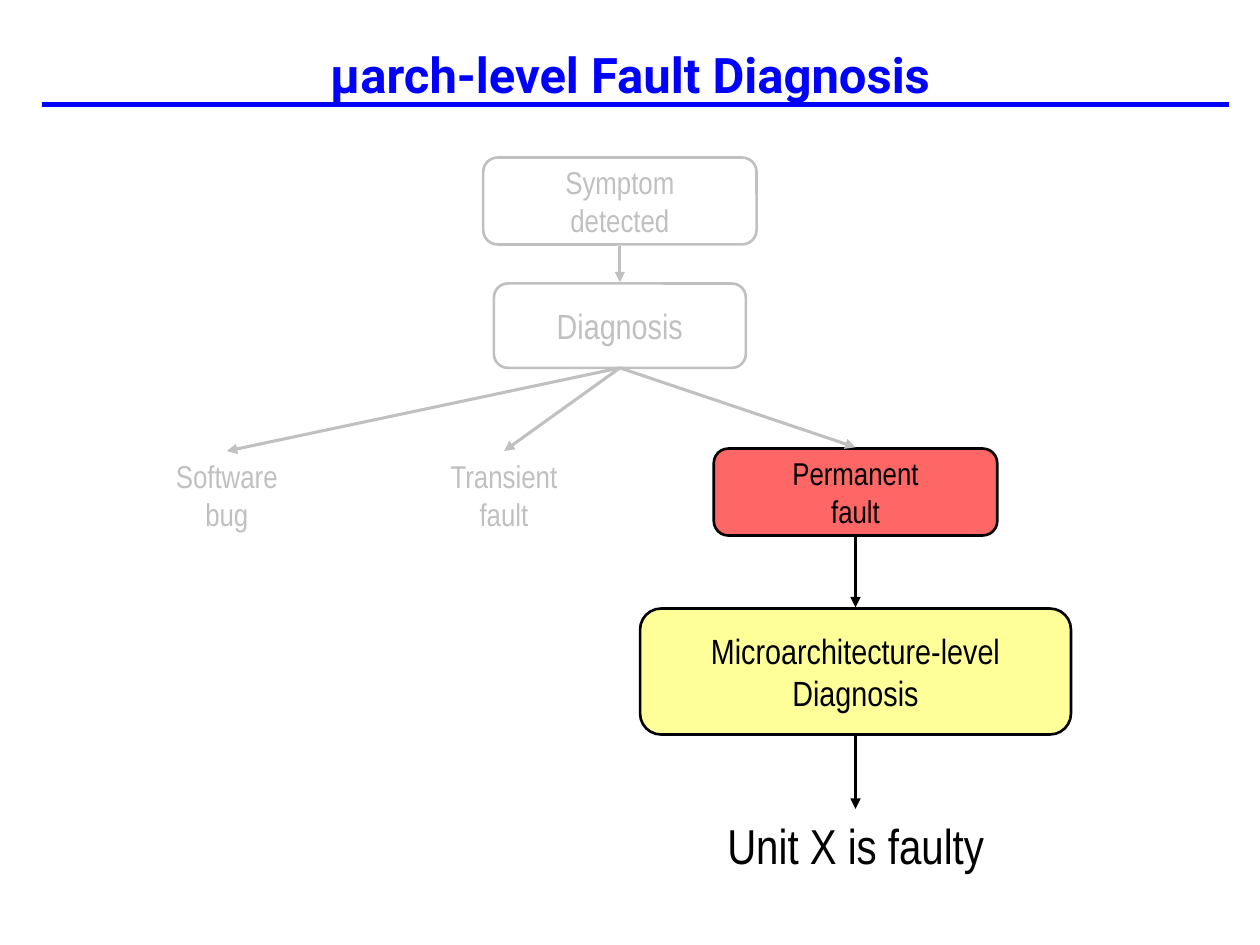
"""Build the µarch-level fault diagnosis flow slide."""
from dataclasses import dataclass
from typing import Optional

from pptx import Presentation
from pptx.dml.color import RGBColor
from pptx.enum.shapes import MSO_CONNECTOR as Connector, MSO_SHAPE as Preset
from pptx.enum.text import MSO_ANCHOR as Anchor, PP_ALIGN as Align
from pptx.oxml.ns import qn
from pptx.util import Inches, Pt
from lxml.etree import SubElement

COLORS = {"blue": "0000FF", "red": "FF6666", "yellow": "FFFF99",
          "black": "000000", "gray": "C0C0C0"}
BODY_FONT = "Arial Narrow"


@dataclass
class Label:
    left: float
    top: float
    width: float
    height: float
    lines: list[str]
    size: int
    color: str
    font: str = BODY_FONT
    bold: bool = False
    wrap: bool = False
    anchor: Anchor = Anchor.TOP


@dataclass
class Node:
    center: float
    top: float
    width: float
    height: float
    lines: list[str]
    size: int
    color: str
    fill: Optional[str] = None


@dataclass
class Line:
    start: tuple[float, float]
    end: tuple[float, float]
    color: str
    weight: float = 1.75
    arrow: bool = True


TRUNK, BRANCH = 4.92, 6.79
FORK = (TRUNK, 2.92)

LABELS = [
    Label(0, 0.17, 10, 0.83, ["µarch-level Fault Diagnosis"], 28, "blue",
          "Roboto", True, True, Anchor.MIDDLE),
    Label(5.25, 6.42, 3.08, 0.57, ["Unit X is faulty"], 28, "black", wrap=True),
    Label(1.29, 3.58, 1.02, 0.71, ["Software", "bug"], 18, "gray"),
    Label(3.47, 3.58, 1.06, 0.71, ["Transient", "fault"], 18, "gray"),
]
NODES = [
    Node(TRUNK, 1.25, 2.17, 0.69, ["Symptom", "detected"], 18, "gray"),
    Node(TRUNK, 2.25, 2, 0.67, ["Diagnosis"], 20, "gray"),
    Node(BRANCH, 3.56, 2.25, 0.69, ["Permanent", "fault"], 18, "black", "red"),
    Node(BRANCH, 4.83, 3.42, 1, ["Microarchitecture-level", "Diagnosis"], 20,
         "black", "yellow"),
]
LINES = [
    Line((0.33, 0.83), (9.75, 0.83), "blue", 3, False),
    Line((TRUNK, 1.95), (TRUNK, 2.24), "gray"),
    Line(FORK, (1.8, 3.58), "gray"),
    Line(FORK, (4, 3.58), "gray"),
    Line(FORK, (BRANCH, 3.55), "gray"),
    Line((BRANCH, 4.26), (BRANCH, 4.82), "black"),
    Line((BRANCH, 5.84), (BRANCH, 6.42), "black"),
]


def rgb(name: str) -> RGBColor:
    """Return the named colour."""
    return RGBColor.from_string(COLORS[name])


def write_lines(frame, lines: list[str], size: int, color: str,
                font: str = BODY_FONT, bold: bool = False) -> None:
    """Fill a text frame with centred paragraphs."""
    frame.text = "\n".join(lines)
    for para in frame.paragraphs:
        para.alignment = Align.CENTER
        para.font.name = font
        para.font.size = Pt(size)
        para.font.bold = bold
        para.font.color.rgb = rgb(color)


def draw_label(page, label: Label) -> None:
    """Draw a plain text box."""
    box = page.shapes.add_textbox(Inches(label.left), Inches(label.top),
                                  Inches(label.width), Inches(label.height))
    frame = box.text_frame
    frame.word_wrap = label.wrap
    frame.vertical_anchor = label.anchor
    write_lines(frame, label.lines, label.size, label.color, label.font, label.bold)


def draw_node(page, node: Node) -> None:
    """Draw a rounded box with its text."""
    box = page.shapes.add_shape(
        Preset.ROUNDED_RECTANGLE, Inches(node.center - node.width / 2),
        Inches(node.top), Inches(node.width), Inches(node.height))
    box.shadow.inherit = False
    if node.fill:
        box.fill.solid()
        box.fill.fore_color.rgb = rgb(node.fill)
    else:
        box.fill.background()
    box.line.color.rgb = rgb(node.color)
    box.line.width = Pt(1.5)
    box.text_frame.word_wrap = False
    box.text_frame.vertical_anchor = Anchor.MIDDLE
    write_lines(box.text_frame, node.lines, node.size, node.color)


def draw_line(page, line: Line) -> None:
    """Draw a straight line, with an arrowhead at its end if wanted."""
    connector = page.shapes.add_connector(
        Connector.STRAIGHT, *map(Inches, line.start + line.end))
    connector.line.color.rgb = rgb(line.color)
    connector.line.width = Pt(line.weight)
    if line.arrow:
        SubElement(connector.line._get_or_add_ln(), qn("a:tailEnd"), type="triangle")
    SubElement(connector._element.spPr, qn("a:effectLst"))


def main() -> None:
    """Build and save the deck."""
    deck = Presentation()
    deck.slide_width, deck.slide_height = Inches(10), Inches(7.5)
    page = deck.slides.add_slide(deck.slide_layouts[6])
    for node in NODES:
        draw_node(page, node)
    for line in LINES:
        draw_line(page, line)
    for label in LABELS:
        draw_label(page, label)
    deck.save("out.pptx")


if __name__ == "__main__":
    main()
